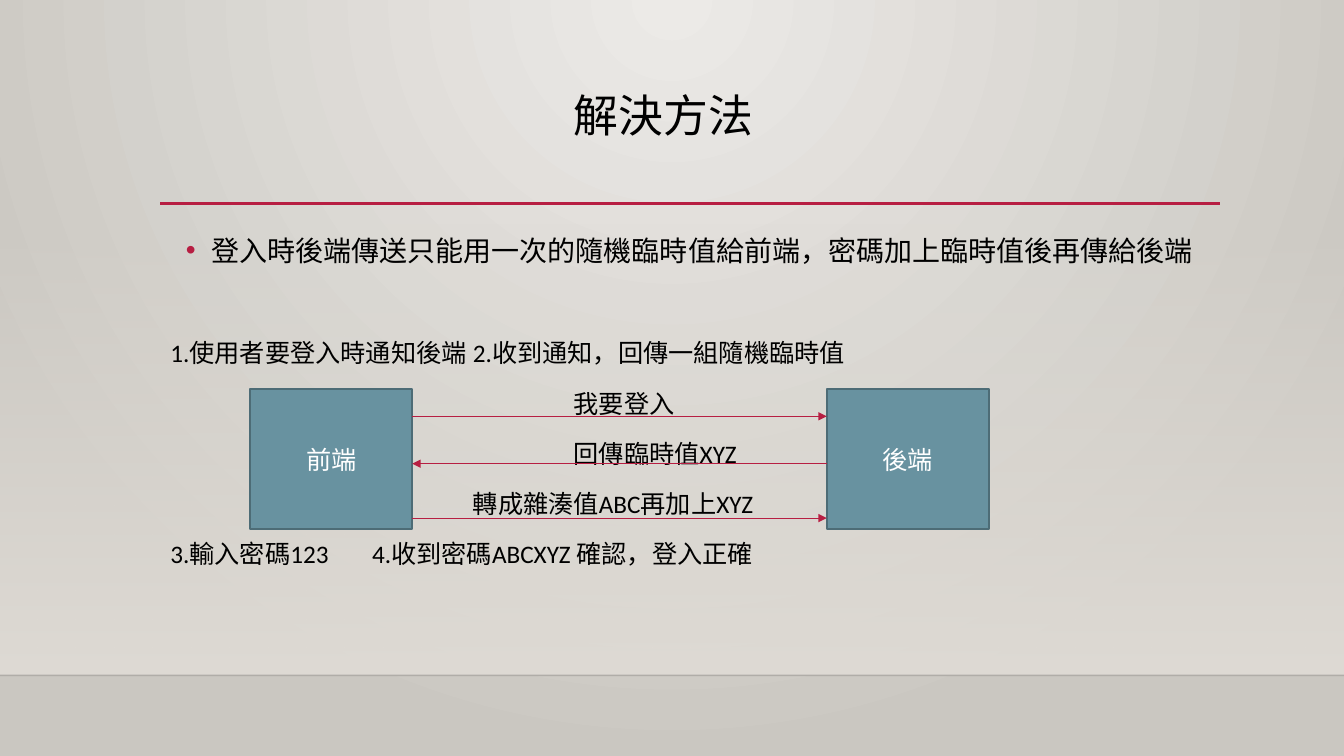
from lxml import etree
from pptx import Presentation
from pptx import util as u
from pptx.dml.color import RGBColor
from pptx.enum import shapes, text
from pptx.oxml.ns import qn

BLACK, WHITE, RED = "000000", "FFFFFF", "B71E42"
BLUE, DARK_BLUE, SAND = "6892A0", "4D6C76", "DFDBD5"
LEFT, CENTER = text.PP_ALIGN.LEFT, text.PP_ALIGN.CENTER


def rgb(code):
    return RGBColor.from_string(code)


def add_xml(parent, tag, **attributes):
    return etree.SubElement(parent, qn(tag), attributes)


def write(para, content, size=18, color=BLACK, align=LEFT, spacing=None,
          before=0, indent=0, bullet=None, tab=None):
    span = para.add_run()
    span.text = content
    span.font.name = "Calibri"
    span.font.size = u.Pt(size)
    span.font.color.rgb = rgb(color)
    para.alignment = align
    para.space_before = u.Pt(before)
    if spacing:
        para.line_spacing = spacing
    properties = para._p.get_or_add_pPr()
    properties.set("marL", str(u.Inches(indent)))
    properties.set("indent", str(u.Inches(-indent if bullet else 0)))
    if bullet:
        add_xml(add_xml(properties, "a:buClr"), "a:srgbClr", val=RED)
        add_xml(properties, "a:buFont", typeface="Arial")
        add_xml(properties, "a:buChar", char=bullet)
    else:
        add_xml(properties, "a:buNone")
    if tab:
        stops = add_xml(properties, "a:tabLst")
        add_xml(stops, "a:tab", pos=str(u.Inches(tab)), algn="l")


class SlideBuilder:
    def __init__(self, deck):
        self.page = deck.slides.add_slide(deck.slide_layouts[1])

    def gradient(self, fill, colors):
        fill.gradient()
        for stop, color in zip(fill.gradient_stops, colors):
            stop.color.rgb = rgb(color)

    def background(self, inner, outer):
        self.gradient(self.page.background.fill, (inner, outer))
        grad = self.page._element.find(".//" + qn("a:gradFill"))
        grad.remove(grad.find(qn("a:lin")))
        circle = add_xml(grad, "a:path", path="circle")
        add_xml(circle, "a:fillToRect", l="43000", t="0", r="43000", b="100000")

    def rectangle(self, left, top, width, height):
        box = self.page.shapes.add_shape(
            shapes.MSO_SHAPE.RECTANGLE,
            *(u.Inches(value) for value in (left, top, width, height)))
        box.shadow.inherit = False
        return box

    def fading_panel(self, *place):
        box = self.rectangle(*place)
        box.line.fill.background()
        self.gradient(box.fill, (SAND, SAND))
        box.fill.gradient_angle = 270
        first = box._element.find(".//" + qn("a:gs"))
        add_xml(first[0], "a:alpha", val="0")

    def node(self, label, *place):
        box = self.rectangle(*place)
        box.fill.solid()
        box.fill.fore_color.rgb = rgb(BLUE)
        box.line.color.rgb = rgb(DARK_BLUE)
        box.line.width = u.Pt(1.25)
        box.text_frame.vertical_anchor = text.MSO_ANCHOR.MIDDLE
        write(box.text_frame.paragraphs[0], label, color=WHITE, align=CENTER)

    def line(self, start, end, y, width, color=RED, alpha=None, arrow=False):
        line = self.page.shapes.add_connector(
            shapes.MSO_CONNECTOR.STRAIGHT,
            u.Inches(start), u.Inches(y), u.Inches(end), u.Inches(y))
        line.line.color.rgb = rgb(color)
        line.line.width = u.Pt(width)
        outline = line.line._get_or_add_ln()
        if alpha:
            add_xml(outline.find(".//" + qn("a:srgbClr")), "a:alpha",
                    val=str(alpha * 1000))
        if arrow:
            add_xml(outline, "a:tailEnd", type="triangle")
        add_xml(line._element.spPr, "a:effectLst")

    def placeholder(self, index, place, rows):
        holder = self.page.placeholders[index]
        holder.left, holder.top, holder.width, holder.height = (
            u.Inches(value) for value in place)
        self.page.shapes._spTree.append(holder._element)
        frame = holder.text_frame
        frame.word_wrap = True
        frame.auto_size = text.MSO_AUTO_SIZE.NONE
        frame.vertical_anchor = text.MSO_ANCHOR.TOP
        for number, (content, style) in enumerate(rows):
            para = frame.add_paragraph() if number else frame.paragraphs[0]
            write(para, content, **style)


def main():
    deck = Presentation()
    deck.slide_width, deck.slide_height = u.Inches(13.33), u.Inches(7.5)
    slide = SlideBuilder(deck)
    slide.background("ECEAE7", "CAC7C1")
    slide.fading_panel(0, 2.21, 13.33, 4.49)
    slide.line(0, 13.33, 6.7, 1, color=BLACK, alpha=20)
    slide.line(1.59, 12.1, 2.02, 2.5)

    slide.placeholder(0, (1.59, 0.88, 10.5, 1.15), [
        ("解決方法", dict(size=32, spacing=0.9, indent=4))])
    body = dict(spacing=1.2, before=10)
    columns = dict(body, tab=6)
    slide.placeholder(1, (1.59, 2.2, 10.5, 3.77), [
        ("登入時後端傳送只能用一次的隨機臨時值給前端，密碼加上臨時值後再傳給後端",
         dict(body, size=20, align=CENTER, indent=0.25, bullet="•")),
        ("1.使用者要登入時通知後端\t2.收到通知，回傳一組隨機臨時值",
         dict(columns, before=46)),
        ("我要登入", dict(body, indent=4)),
        ("回傳臨時值XYZ", dict(body, indent=4)),
        ("轉成雜湊值ABC再加上XYZ", dict(body, indent=3)),
        ("3.輸入密碼123\t4.收到密碼ABCXYZ 確認，登入正確", columns)])

    front, back, width = 2.48, 8.2, 1.61
    for label, left in (("前端", front), ("後端", back)):
        slide.node(label, left, 3.86, width, 1.39)
    front_edge = front + width
    for start, end, y in ((front_edge, back, 4.13), (back, front_edge, 4.6),
                          (front_edge, back, 5.14)):
        slide.line(start, end, y, 0.75, arrow=True)
    deck.save("out.pptx")


if __name__ == "__main__":
    main()
